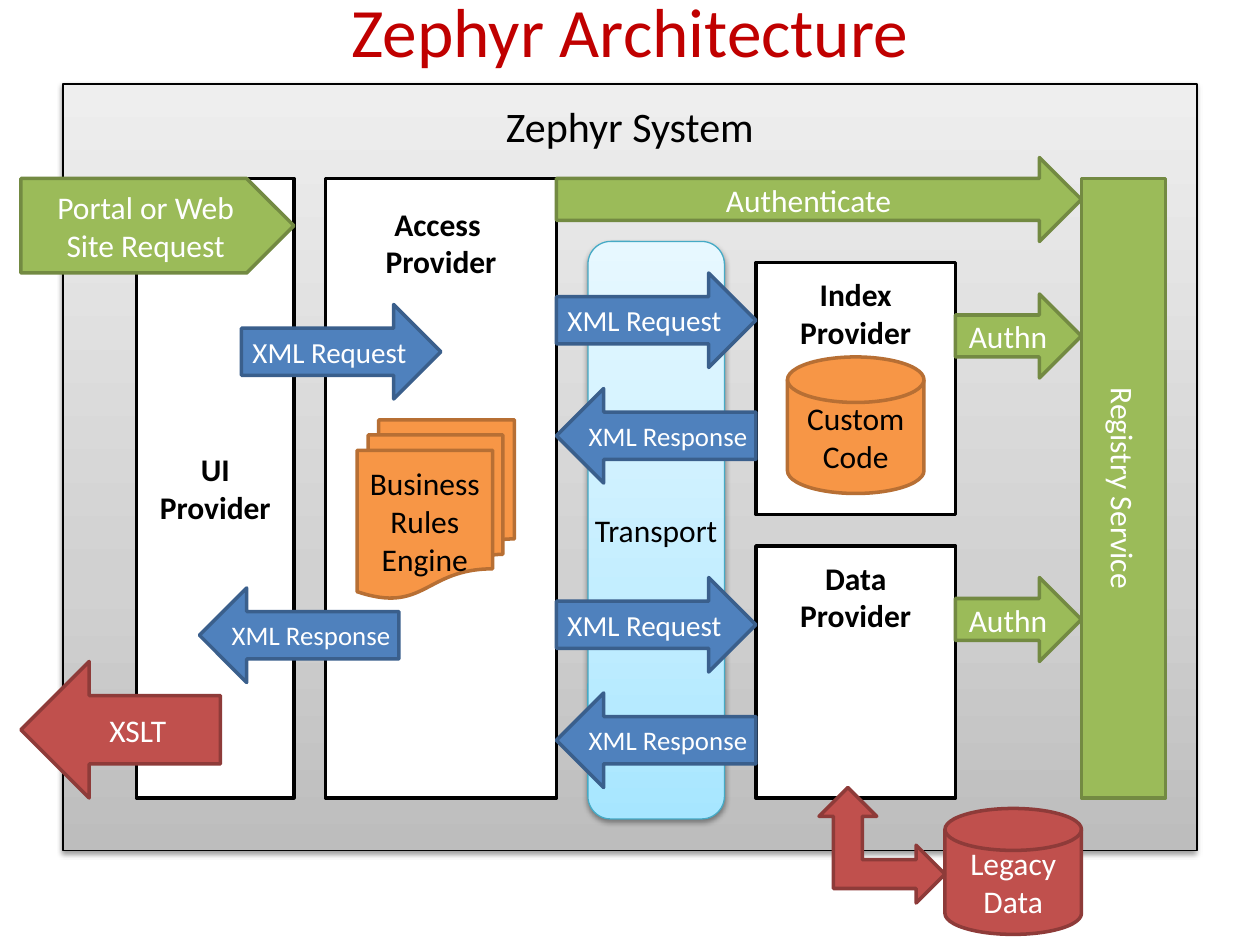
"""Build the Zephyr Architecture slide: providers, transport and message arrows."""
from copy import deepcopy

from pptx import Presentation
from pptx.dml.color import RGBColor
from pptx.enum.shapes import MSO_SHAPE
from pptx.enum.text import MSO_ANCHOR, MSO_AUTO_SIZE, PP_ALIGN
from pptx.oxml import parse_xml
from pptx.oxml.ns import nsdecls, qn
from pptx.util import Pt

BLACK = RGBColor(0x00, 0x00, 0x00)
WHITE = RGBColor(0xFF, 0xFF, 0xFF)
TITLE_RED = RGBColor(0xC0, 0x00, 0x00)
GREEN, GREEN_EDGE = RGBColor(0x9B, 0xBB, 0x59), RGBColor(0x73, 0x8A, 0x42)
ORANGE, ORANGE_EDGE = RGBColor(0xF7, 0x96, 0x46), RGBColor(0xB7, 0x6F, 0x34)
RED, RED_EDGE = RGBColor(0xC0, 0x50, 0x4D), RGBColor(0x8E, 0x3B, 0x39)
BLUE, BLUE_EDGE = RGBColor(0x4F, 0x81, 0xBD), RGBColor(0x3A, 0x5F, 0x8C)
TEAL_EDGE = RGBColor(0x46, 0xAA, 0xC5)
GREYS = [RGBColor(0xBD, 0xBD, 0xBD), RGBColor(0xD1, 0xD1, 0xD1), RGBColor(0xEE, 0xEE, 0xEE)]
SKIES = [RGBColor(0xA7, 0xE6, 0xFF), RGBColor(0xC1, 0xED, 0xFF), RGBColor(0xE7, 0xF8, 0xFF)]
GRADIENT_STOPS = [0, 0.35, 1]

TITLE = "Zephyr Architecture"
SYSTEM = "Zephyr System"

STYLES = {
    "system": dict(fill=GREYS, edge=BLACK),
    "transport": dict(fill=SKIES, edge=TEAL_EDGE, color=BLACK, inset=0),
    "provider": dict(fill=WHITE, edge=BLACK, color=BLACK, bold=True),
    "access": dict(fill=GREEN, edge=GREEN_EDGE, color=WHITE),
    "custom": dict(fill=ORANGE, edge=ORANGE_EDGE, color=BLACK),
    "legacy": dict(fill=RED, edge=RED_EDGE, color=WHITE),
    "request": dict(fill=BLUE, edge=BLUE_EDGE, color=WHITE, inset=3.6, size=16.6),
    "response": dict(fill=BLUE, edge=BLUE_EDGE, color=WHITE, inset=3.6, size=15.3),
}

RECT, RIGHT, LEFT = MSO_SHAPE.RECTANGLE, MSO_SHAPE.RIGHT_ARROW, MSO_SHAPE.LEFT_ARROW
DISK = MSO_SHAPE.FLOWCHART_MAGNETIC_DISK
MESSAGE = (114, 54)
AUTHN = (72, 48)

PARTS = [
    ("provider", RECT, (186, 102, 132, 354), "Access \nProvider", dict(top=15)),
    ("provider", RECT, (432, 150, 114, 144), "Index Provider", dict(top=7.2)),
    ("provider", RECT, (432, 312, 114, 144), "Data\nProvider", dict(top=7.2)),
    ("access", RECT, (618, 102, 48, 354), "Registry Service", dict(vertical=True)),
    ("access", RIGHT, (318, 90, 300, 48), "Authenticate", {}),
    ("access", RIGHT, (546, 168, *AUTHN), "Authn", {}),
    ("access", RIGHT, (546, 330, *AUTHN), "Authn", {}),
    ("custom", DISK, (450, 204, 78, 78), "Custom Code", {}),
    ("legacy", DISK, (540, 462, 78, 72), "Legacy Data", {}),
    ("legacy", MSO_SHAPE.LEFT_UP_ARROW, (471, 447, 66, 72), "", dict(rotation=90)),
    ("transport", MSO_SHAPE.ROUNDED_RECTANGLE, (336, 138, 78, 330), "Transport", {}),
    ("request", RIGHT, (318, 156, *MESSAGE), "XML Request", {}),
    ("request", RIGHT, (318, 330, *MESSAGE), "XML Request", {}),
    ("response", LEFT, (318, 222, *MESSAGE), "XML Response", {}),
    ("response", LEFT, (318, 396, *MESSAGE), "XML Response", {}),
    ("provider", RECT, (78, 102, 90, 354), "UI Provider", {}),
    ("access", MSO_SHAPE.PENTAGON, (12, 102, 156, 54), "Portal or Web Site Request", {}),
    ("request", RIGHT, (138, 174, *MESSAGE), "XML Request", {}),
    ("response", LEFT, (114, 336, *MESSAGE), "XML Response", {}),
    ("legacy", LEFT, (12, 378, 114, 78), "XSLT", dict(inset=3.6)),
    ("custom", MSO_SHAPE.FLOWCHART_MULTIDOCUMENT, (204, 240, 90, 102), "Business Rules Engine", {}),
]


def write(frame, text, size=18, color=BLACK, bold=False, align=PP_ALIGN.CENTER,
          anchor=MSO_ANCHOR.MIDDLE, wrap=True):
    frame.word_wrap = wrap
    frame.vertical_anchor = anchor
    frame.text = text
    for para in frame.paragraphs:
        para.alignment = align
        for span in para.runs:
            span.font.name = "Calibri"
            span.font.size = Pt(size)
            span.font.bold = bold
            span.font.color.rgb = color


def shade(box, colors):
    box.fill.gradient()
    stop_list = box._element.spPr.find(qn("a:gradFill")).find(qn("a:gsLst"))
    stop_list.append(deepcopy(stop_list[-1]))
    box.fill.gradient_angle = 90
    for stop, position, color in zip(box.fill.gradient_stops, GRADIENT_STOPS, colors):
        stop.position = position
        stop.color.rgb = color


def cast_shadow(box):
    effects = box._element.spPr.find(qn("a:effectLst"))
    effects.append(parse_xml(
        f'<a:outerShdw {nsdecls("a")} blurRad="{Pt(3.1)}" dist="{Pt(1.6)}" dir="5400000" '
        'rotWithShape="0"><a:srgbClr val="000000"><a:alpha val="38000"/></a:srgbClr></a:outerShdw>'))


def add_part(page, kind, preset, place, text="", top=None, vertical=False, rotation=0, **extra):
    style = {**STYLES[kind], **extra}
    fill, edge, inset = style.pop("fill"), style.pop("edge"), style.pop("inset", None)
    box = page.shapes.add_shape(preset, *map(Pt, place))
    box.rotation = rotation
    box.shadow.inherit = False
    box.line.color.rgb = edge
    if isinstance(fill, list):
        box.line.width = Pt(0.75)
        shade(box, fill)
        cast_shadow(box)
    else:
        box.line.width = Pt(2)
        box.fill.solid()
        box.fill.fore_color.rgb = fill
    frame = box.text_frame
    if inset is not None:
        frame.margin_left = frame.margin_right = Pt(inset)
        frame.margin_top = frame.margin_bottom = Pt(inset)
    if top is not None:
        frame.margin_top = Pt(top)
        style["anchor"] = MSO_ANCHOR.TOP
    if vertical:
        frame._txBody.bodyPr.set("vert", "vert")
    if text:
        write(frame, text, **style)


def main():
    deck = Presentation()
    deck.slide_width, deck.slide_height = Pt(720), Pt(540)
    page = deck.slides.add_slide(deck.slide_layouts[5])

    title = page.shapes.title
    title.left, title.top, title.width, title.height = map(Pt, (36, -12, 648, 57.6))
    write(title.text_frame, TITLE, size=39.6, color=TITLE_RED)

    add_part(page, "system", RECT, (36, 48, 648, 438))
    label = page.shapes.add_textbox(*map(Pt, (282, 54, 168, 36)))
    write(label.text_frame, SYSTEM, size=24, align=PP_ALIGN.LEFT, anchor=MSO_ANCHOR.TOP)
    label.text_frame.auto_size = MSO_AUTO_SIZE.SHAPE_TO_FIT_TEXT

    for kind, preset, place, text, extra in PARTS:
        add_part(page, kind, preset, place, text, **extra)

    deck.save("out.pptx")


if __name__ == "__main__":
    main()
